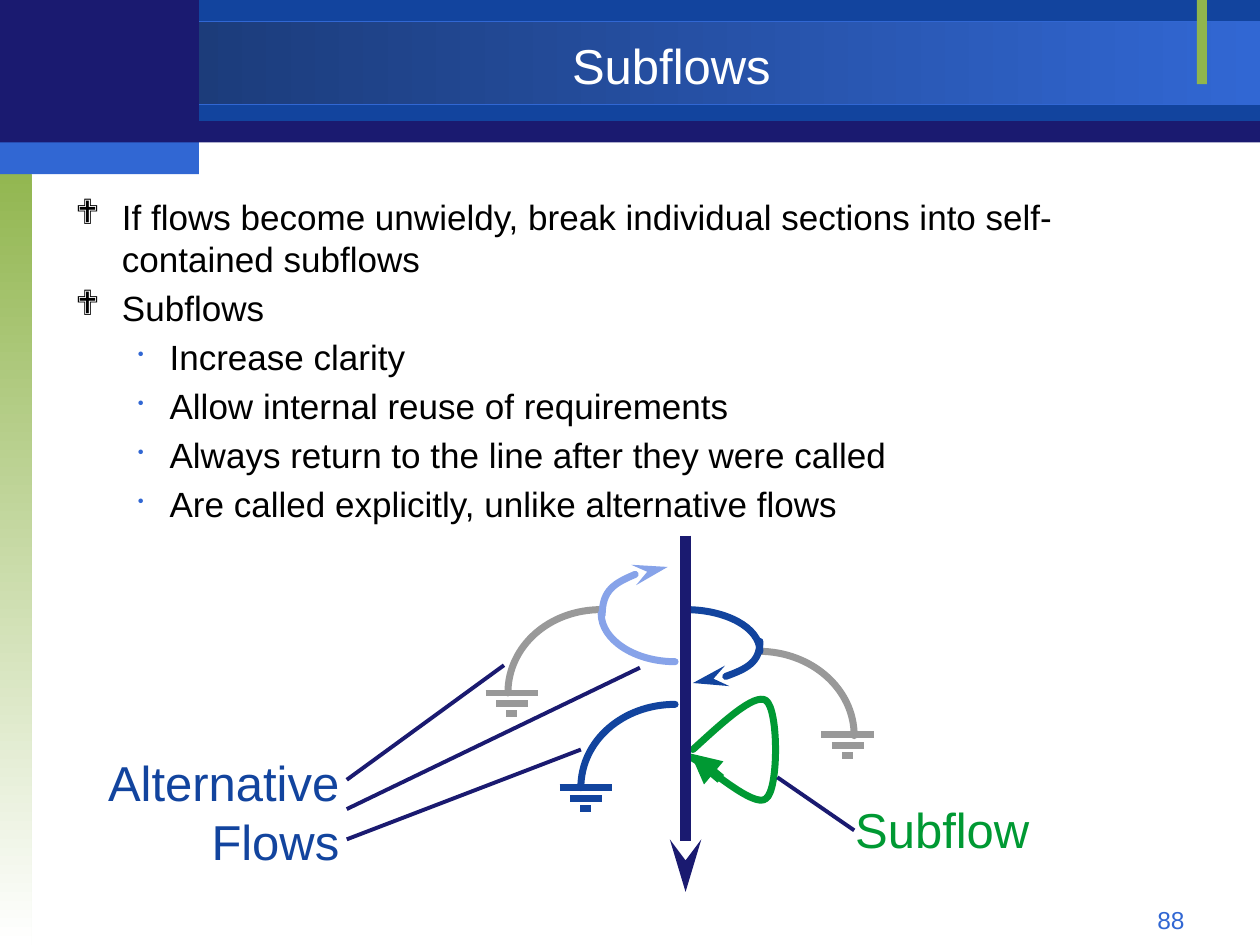
from lxml import etree
from pptx import Presentation
from pptx import util as u
from pptx.dml.color import RGBColor
from pptx.enum import shapes, text
from pptx.oxml.ns import qn

hue = RGBColor.from_string
NAVY, BLUE, SKY, PALE = "1A1A70", "12449E", "3167D3", "87A3E9"
GREY, GREEN, LIME = "999999", "009933", "90B54D"

deck = Presentation()
deck.slide_width, deck.slide_height = u.Cm(25.4), u.Cm(19.05)
slide = deck.slides.add_slide(deck.slide_layouts[6])


def stroke(item, color, width, head=None):
    item.line.color.rgb = hue(color)
    item.line.width = u.Pt(width)
    if head:
        length = "lg" if head == "stealth" else "med"
        etree.SubElement(item.line._get_or_add_ln(), qn("a:tailEnd"), type=head, w="med", len=length)


def write(paragraph, words, size, color):
    run = paragraph.add_run()
    run.text = words
    run.font.name = "Arial"
    run.font.size = u.Pt(size)
    run.font.color.rgb = hue(color)


for box, colors, angle, edge in [
    ((0, 0.03, 25.4, 2.84), [NAVY], 0, None),
    ((4.01, 0, 21.39, 2.44), [BLUE], 0, None),
    ((0, 0.43, 25.4, 1.68), ["18346A", SKY], 0, SKY),
    ((0, 3.18, 0.64, 15.87), [LIME, "FFFFFF"], 270, None),
    ((24.13, 0, 0.2, 1.7), [LIME], 0, None),
    ((0, 0, 4.01, 2.97), [NAVY], 0, None),
    ((0, 2.87, 4.01, 0.64), [SKY], 0, None),
]:
    band = slide.shapes.add_shape(shapes.MSO_SHAPE.RECTANGLE, *map(u.Cm, box))
    band.shadow.inherit = False
    if len(colors) == 1:
        band.fill.solid()
        band.fill.fore_color.rgb = hue(colors[0])
    else:
        band.fill.gradient()
        band.fill.gradient_angle = angle
        for stop, color in zip(band.fill.gradient_stops, colors):
            stop.color.rgb = hue(color)
    if edge:
        stroke(band, edge, 0.75)
    else:
        band.line.fill.background()

left, center, right = text.PP_ALIGN.LEFT, text.PP_ALIGN.CENTER, text.PP_ALIGN.RIGHT
for words, box, size, color, align, anchor, wrap in [
    ("Subflows", (4.01, 0.58, 19.05, 1.47), 28, "FFFFFF", center, text.MSO_ANCHOR.MIDDLE, True),
    ("Alternative Flows", (0.84, 15.04, 6.25, 2.62), 28, BLUE, right, text.MSO_ANCHOR.TOP, True),
    ("Subflow", (16.99, 16, 4.29, 1.45), 28, GREEN, left, text.MSO_ANCHOR.TOP, False),
    ("88", (18.21, 18.11, 5.92, 0.69), 14, SKY, right, text.MSO_ANCHOR.TOP, True),
]:
    frame = slide.shapes.add_textbox(*map(u.Cm, box)).text_frame
    frame.word_wrap = wrap
    frame.vertical_anchor = anchor
    frame.paragraphs[0].alignment = align
    write(frame.paragraphs[0], words, size, color)

points = slide.shapes.add_textbox(*map(u.Cm, (1.27, 3.81, 22.86, 13.97))).text_frame
points.word_wrap = True
for index, (level, words) in enumerate([
    (0, "If flows become unwieldy, break individual sections into self-contained subflows"),
    (0, "Subflows"),
    (1, "Increase clarity"),
    (1, "Allow internal reuse of requirements"),
    (1, "Always return to the line after they were called"),
    (1, "Are called explicitly, unlike alternative flows"),
]):
    point = points.add_paragraph() if index else points.paragraphs[0]
    point.level = level
    if index:
        point.space_before = u.Pt(4)
    margin, indent, bullet = [(0.94, -0.94, "❖"), (1.9, -0.64, "•")][level]
    props = point._p.get_or_add_pPr()
    props.set("marL", str(u.Cm(margin)))
    props.set("indent", str(u.Cm(indent)))
    if level:
        tint = etree.SubElement(props, qn("a:buClr"))
        etree.SubElement(tint, qn("a:srgbClr"), val=SKY)
        etree.SubElement(props, qn("a:buSzPct"), val="50000")
    else:
        etree.SubElement(props, qn("a:buFont"), typeface="Wingdings")
    etree.SubElement(props, qn("a:buChar"), char=bullet)
    write(point, words, 20, "000000")

for color, head, knots in [
    (GREY, None, [(15.29, 13.13), (16.36, 13.13), (17.22, 13.89), (17.22, 14.83)]),
    (GREY, None, [(10.24, 13.97), (10.24, 13.03), (11.07, 12.29), (12.12, 12.29)]),
    (BLUE, None, [(13.82, 12.29), (14.63, 12.29), (15.32, 12.65), (15.32, 13.13)]),
    (BLUE, "stealth", [(15.32, 12.93), (15.32, 13.36), (14.73, 13.72), (13.97, 13.77)]),
    (PALE, None, [(13.61, 13.34), (12.8, 13.34), (12.12, 12.9), (12.12, 12.37)]),
    (PALE, "stealth", [(12.14, 12.4), (12.14, 11.89), (12.7, 11.48), (13.46, 11.43)]),
    (BLUE, None, [(11.71, 15.88), (11.71, 14.94), (12.55, 14.2), (13.61, 14.2)]),
    (GREEN, None, [(13.97, 15.11), (14.58, 14.55), (15.21, 13.97), (15.44, 14.12),
                   (15.7, 14.3), (15.7, 15.93), (15.44, 16.1),
                   (15.21, 16.31), (14.22, 15.42), (13.97, 15.29)]),
]:
    track = [(u.Cm(x), u.Cm(y)) for x, y in knots]
    builder = slide.shapes.build_freeform(*track[0])
    builder.add_line_segments(track[1:], close=False)
    flow = builder.convert_to_shape()
    outline = flow._element.find(".//" + qn("a:path"))
    legs = outline.findall(qn("a:lnTo"))
    for first in range(0, len(legs), 3):
        bend = etree.SubElement(outline, qn("a:cubicBezTo"))
        for leg in legs[first:first + 3]:
            bend.append(leg[0])
            outline.remove(leg)
    flow.shadow.inherit = False
    flow.fill.background()
    stroke(flow, color, 4, head)
    flow.line._get_or_add_ln().set("cap", "rnd")

lines = [
    (11.71, 15.11, 6.99, 16.92, NAVY, 2.25, None),
    (12.9, 13.46, 6.99, 16.31, NAVY, 2.25, None),
    (10.16, 13.41, 6.99, 15.72, NAVY, 2.25, None),
    (15.67, 15.67, 17.22, 16.74, NAVY, 2.25, None),
    (13.82, 10.8, 13.82, 17.98, NAVY, 6, "stealth"),
    (14.53, 15.7, 13.92, 15.19, GREEN, 5.75, "triangle"),
]
for x, y, color in [(17.09, 14.81, GREY), (10.32, 13.97, GREY), (11.81, 15.88, BLUE)]:
    for row, half in enumerate((0.53, 0.32, 0.11)):
        level_y = y + 0.21 * row
        lines.append((x - half, level_y, x + half, level_y, color, 4, None))

for *ends, color, width, head in lines:
    link = slide.shapes.add_connector(shapes.MSO_CONNECTOR.STRAIGHT, *map(u.Cm, ends))
    stroke(link, color, width, head)
    etree.SubElement(link._element.spPr, qn("a:effectLst"))

deck.save("out.pptx")
